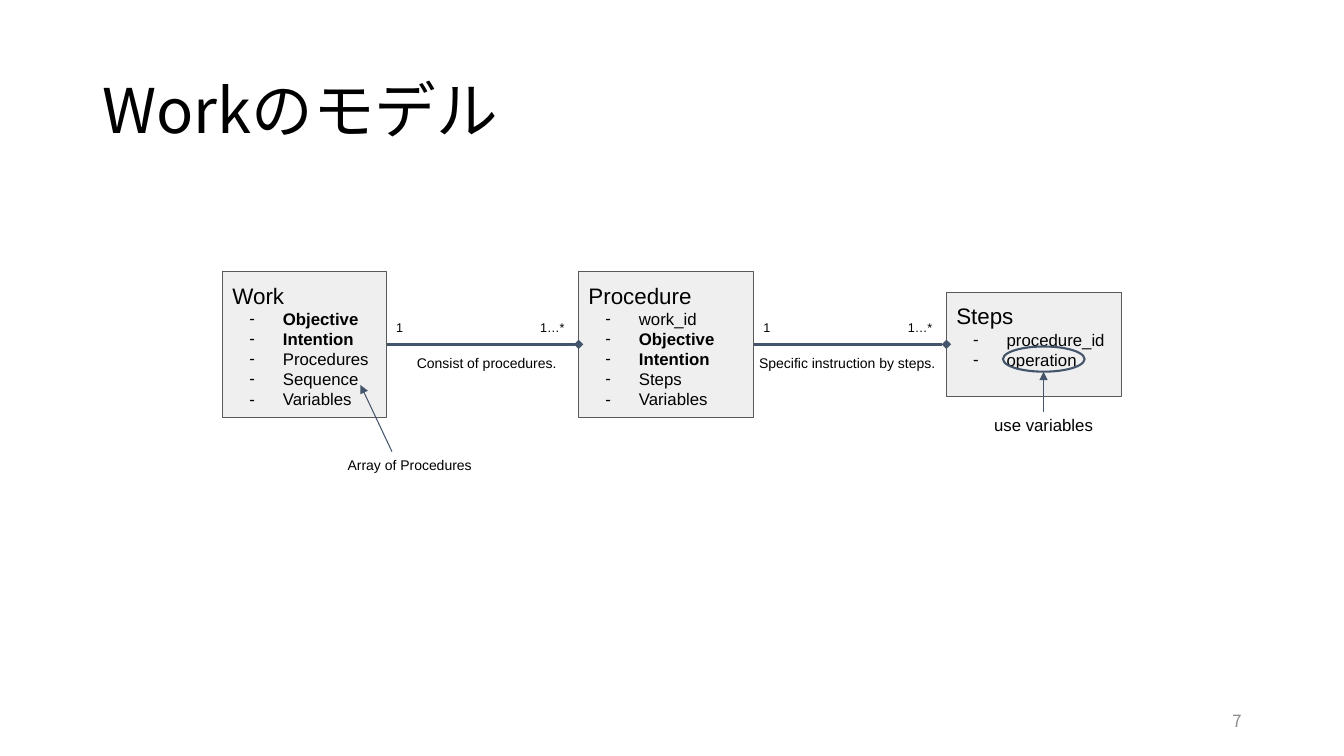
from lxml import etree
from pptx import Presentation
from pptx.dml.color import RGBColor
from pptx.enum.shapes import MSO_CONNECTOR as CONN, MSO_SHAPE as SHAPE
from pptx.enum.text import MSO_ANCHOR as ANCHOR, MSO_AUTO_SIZE as AUTO, PP_ALIGN as ALIGN
from pptx.oxml.ns import qn
from pptx.util import Pt

BLACK, GREY, SLATE = "000000", "8C8C8C", "44546A"
BOX_FILL, BOX_LINE = "EFEFEF", "595959"
ARIAL, NOTO = "Arial", "Noto Sans CJK JP"
AXIS_Y = 246  # the height at which the classes and their relations are centred
INSET = 7.2


def rgb(color):
    return RGBColor.from_string(color)


def add_run(p, text, size=12, font=ARIAL, color=BLACK, bold=False):
    r = p.add_run()
    r.text = text
    r.font.size, r.font.name, r.font.bold = Pt(size), font, bold
    r.font.color.rgb = rgb(color)
    etree.SubElement(r.font._element, qn("a:ea"), typeface=font)


def set_insets(tf, x=INSET, y=INSET):
    tf.margin_left = tf.margin_right = Pt(x)
    tf.margin_top = tf.margin_bottom = Pt(y)


def add_text(s, text, left, top, width, height, inset_y=INSET, anchor=ANCHOR.TOP,
             align=ALIGN.LEFT, spacing=None, **font):
    tf = s.shapes.add_textbox(Pt(left), Pt(top), Pt(width), Pt(height)).text_frame
    tf.word_wrap, tf.auto_size, tf.vertical_anchor = True, AUTO.NONE, anchor
    set_insets(tf, y=inset_y)
    p = tf.paragraphs[0]
    p.alignment, p.line_spacing = align, spacing
    add_run(p, text, **font)


def set_dash_bullet(p):
    pPr = p._p.get_or_add_pPr()
    pPr.set("marL", str(Pt(36)))
    pPr.set("indent", str(Pt(-24)))
    color = etree.SubElement(pPr, qn("a:buClr"))
    etree.SubElement(color, qn("a:srgbClr"), val=BLACK)
    etree.SubElement(pPr, qn("a:buFont"), typeface=ARIAL)
    etree.SubElement(pPr, qn("a:buChar"), char="-")


def add_outline(s, kind, left, top, width, height, line, weight):
    sp = s.shapes.add_shape(kind, Pt(left), Pt(top), Pt(width), Pt(height))
    sp.shadow.inherit = False
    sp.fill.background()
    sp.line.color.rgb, sp.line.width = rgb(line), Pt(weight)
    return sp


def add_class(s, name, fields, left, width, height):
    """Draw a class box centred on the axis; Objective and Intention are bold."""
    sp = add_outline(s, SHAPE.RECTANGLE, left, AXIS_Y - height / 2, width, height,
                     BOX_LINE, 0.75)
    sp.fill.solid()
    sp.fill.fore_color.rgb = rgb(BOX_FILL)
    tf = sp.text_frame
    tf.word_wrap, tf.vertical_anchor = True, ANCHOR.TOP
    set_insets(tf)
    p = tf.paragraphs[0]
    p.alignment = ALIGN.LEFT
    add_run(p, name, size=16)
    for field in fields:
        p = tf.add_paragraph()
        p.alignment = ALIGN.LEFT
        set_dash_bullet(p)
        add_run(p, field, bold=field in ("Objective", "Intention"))
    return sp


def add_line(s, x1, y1, x2, y2, weight=0.75, end="triangle", kind=CONN.STRAIGHT):
    c = s.shapes.add_connector(kind, Pt(x1), Pt(y1), Pt(x2), Pt(y2))
    c.line.color.rgb, c.line.width = rgb(SLATE), Pt(weight)
    etree.SubElement(c.line._get_or_add_ln(), qn("a:tailEnd"), type=end)
    etree.SubElement(c._element.spPr, qn("a:effectLst"))
    return c


def add_relation(s, source, target, caption, left, width):
    """Join two classes one-to-many, with the caption under the line."""
    x1, x2 = source.left.pt + source.width.pt, target.left.pt
    c = add_line(s, x1, AXIS_Y, x2, AXIS_Y, weight=2.25, end="diamond", kind=CONN.ELBOW)
    c.begin_connect(source, 3)
    c.end_connect(target, 1)
    label_width = 34.6
    for text, x in (("1", x1 - 0.5), ("1…*", x2 - label_width)):
        add_text(s, text, x, 221, label_width, 25, size=9)
    add_text(s, caption, left, AXIS_Y, width, 26.5, size=10)


def main():
    prs = Presentation()
    prs.slide_width, prs.slide_height = Pt(960), Pt(540)
    s = prs.slides.add_slide(prs.slide_layouts[6])

    add_text(s, "Workのモデル", 66, 28.75, 828, 104.4, inset_y=3.6, anchor=ANCHOR.MIDDLE,
             spacing=0.9, size=44, font=NOTO)
    add_text(s, "7", 678, 500.5, 216, 28.75, inset_y=3.6, anchor=ANCHOR.MIDDLE,
             align=ALIGN.RIGHT, font=NOTO, color=GREY)

    work = add_class(
        s, "Work", ["Objective", "Intention", "Procedures", "Sequence", "Variables"],
        159, 117.4, 104)
    procedure = add_class(
        s, "Procedure", ["work_id", "Objective", "Intention", "Steps", "Variables"],
        413.3, 125.3, 104)
    steps = add_class(s, "Steps", ["procedure_id", "operation"], 676, 125.3, 74.4)

    add_relation(s, work, procedure, "Consist of procedures.", 290.7, 117.4)
    add_relation(s, procedure, steps, "Specific instruction by steps.", 535.2, 144)

    add_outline(s, SHAPE.OVAL, 716.4, 247.5, 58.3, 18, SLATE, 1.5)
    add_line(s, 745.4, 294.5, 745.4, 265.5)
    add_text(s, "use variables", 703, 288.7, 90, 28.8)

    add_text(s, "Array of Procedures", 241.2, 319, 137.5, 26.6, size=10)
    add_line(s, 280, 322.6, 257.5, 275)

    prs.save("out.pptx")


if __name__ == "__main__":
    main()
